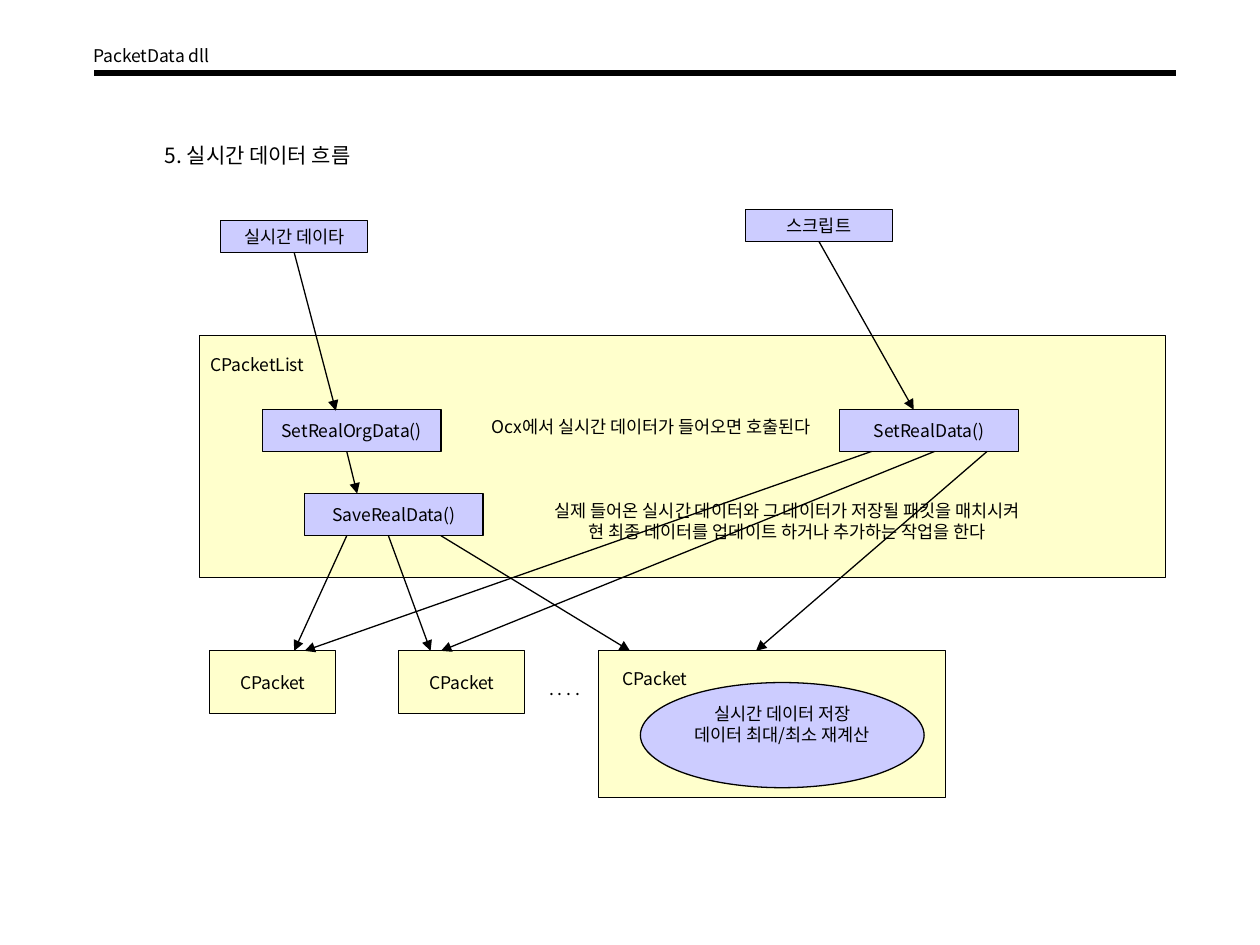
"""Build the slide that shows how real-time data flows through the packet classes."""
from dataclasses import dataclass
from typing import Any, Optional

import pptx
import pptx.dml.color
import pptx.enum.shapes
import pptx.enum.text
import pptx.oxml
import pptx.oxml.ns
import pptx.util
from lxml import etree

Cm = pptx.util.Cm
Pt = pptx.util.Pt
RGBColor = pptx.dml.color.RGBColor
Shape = pptx.enum.shapes.MSO_SHAPE
Align = pptx.enum.text.PP_ALIGN
Anchor = pptx.enum.text.MSO_ANCHOR
qn = pptx.oxml.ns.qn

BLACK = RGBColor(0x00, 0x00, 0x00)
CREAM = RGBColor(0xFF, 0xFF, 0xCC)
LILAC = RGBColor(0xCC, 0xCC, 0xFF)
FACE = "Noto Sans CJK KR"
ROW = 13.12
CALL = 8.26


@dataclass(frozen=True)
class Box:
    left: float
    top: float
    width: float
    height: float
    fill: RGBColor
    text: str = ""
    kind: Any = Shape.RECTANGLE
    foot: float = 0.13


@dataclass(frozen=True)
class Label:
    left: float
    top: float
    width: float
    text: str
    height: float = 0.69
    size: int = 10
    align: Any = Align.LEFT


@dataclass(frozen=True)
class Arrow:
    start: tuple[float, float]
    end: tuple[float, float]
    source: Optional[str] = None


def method(left: float, top: float, text: str) -> Box:
    """Describe a method box."""
    return Box(left, top, 3.6, 0.85, LILAC, text)


def input_box(left: float, top: float, text: str) -> Box:
    """Describe a box for a data source."""
    return Box(left, top, 2.96, 0.64, LILAC, text)


BOXES = [
    Box(4.02, 6.77, 19.47, 4.87, CREAM),
    input_box(4.45, 4.45, "실시간 데이타"),
    input_box(15.03, 4.23, "스크립트"),
    *(Box(4.23 + 3.81 * n, ROW, 2.54, 1.27, CREAM, "CPacket") for n in range(2)),
    Box(12.07, ROW, 6.99, 2.96, CREAM),
    Box(12.91, 13.76, 5.72, 2.12, LILAC,
        "실시간 데이터 저장\n데이터 최대/최소 재계산", Shape.OVAL, 0.56),
    method(5.29, CALL, "SetRealOrgData()"),
    method(6.14, 9.95, "SaveRealData()"),
    method(16.93, CALL, "SetRealData()"),
]
LABELS = [
    Label(1.63, 0.79, 2.9, "PacketData dll"),
    Label(3.07, 2.74, 4.37, "5. 실시간 데이터 흐름", 0.76, 12),
    Label(3.99, 7.01, 2.44, "CPacketList"),
    Label(10.82, 13.54, 1.24, ". . . ."),
    Label(12.29, 13.34, 1.85, "CPacket"),
    Label(9.58, CALL, 7.09, "Ocx에서 실시간 데이터가 들어오면 호출된다", align=Align.CENTER),
    Label(10.81, 9.95, 10.11,
          "실제 들어온 실시간 데이터와 그 데이터가 저장될 패킷을 매치시켜\n"
          "현 최종 데이터를 업데이트 하거나 추가하는 작업을 한다",
          1.12, align=Align.CENTER),
]
ARROWS = [
    Arrow((5.93, 5.09), (6.77, 8.28), "실시간 데이타"),
    Arrow((16.51, 4.87), (18.42, CALL), "스크립트"),
    Arrow((6.99, 9.1), (7.2, 9.95)),
    Arrow((6.99, 10.8), (5.93, ROW)),
    Arrow((7.83, 10.8), (8.68, ROW)),
    Arrow((8.89, 10.8), (12.7, ROW)),
    Arrow((17.57, 9.1), (6.14, ROW)),
    Arrow((18.84, 9.1), (8.89, ROW)),
    Arrow((19.9, 9.1), (15.24, ROW)),
]


def write(frame: Any, text: str, size: int, align: Any) -> None:
    """Fill a text frame with one paragraph for each line."""
    style = {"name": FACE, "size": Pt(size), "bold": False}
    frame.word_wrap = False
    frame.text = text
    for para in frame.paragraphs:
        para.alignment = align
        for run in para.runs:
            for key, value in style.items():
                setattr(run.font, key, value)
            run.font.color.rgb = BLACK
            latin = run.font._element.find(qn("a:latin"))
            east = etree.Element(qn("a:ea"), typeface=FACE)
            latin.addnext(east)


def add_box(slide: Any, box: Box) -> Any:
    """Draw a filled box with centred text."""
    shape = slide.shapes.add_shape(
        box.kind, Cm(box.left), Cm(box.top), Cm(box.width), Cm(box.height))
    shape.shadow.inherit = False
    shape.fill.solid()
    shape.fill.fore_color.rgb = box.fill
    shape.line.color.rgb = BLACK
    shape.line.width = Pt(0.75)
    if box.text:
        frame = shape.text_frame
        frame.vertical_anchor = Anchor.MIDDLE
        frame.margin_bottom = Cm(box.foot)
        write(frame, box.text, 10, Align.CENTER)
    return shape


def add_label(slide: Any, label: Label) -> None:
    """Draw free-standing text."""
    shape = slide.shapes.add_textbox(
        Cm(label.left), Cm(label.top), Cm(label.width), Cm(label.height))
    write(shape.text_frame, label.text, label.size, label.align)
    shape.text_frame.auto_size = pptx.enum.text.MSO_AUTO_SIZE.SHAPE_TO_FIT_TEXT


def add_line(slide: Any, start: tuple[float, float], end: tuple[float, float],
             width: float) -> Any:
    """Draw a plain black line."""
    line = slide.shapes.add_connector(
        pptx.enum.shapes.MSO_CONNECTOR.STRAIGHT, *map(Cm, start + end))
    line.line.color.rgb = BLACK
    line.line.width = Pt(width)
    etree.SubElement(line._element.spPr, qn("a:effectLst"))
    return line


def add_arrow(slide: Any, arrow: Arrow, shapes: dict[str, Any]) -> None:
    """Draw an arrow, joined to its source box where it has one."""
    line = add_line(slide, arrow.start, arrow.end, 0.75)
    etree.SubElement(line.line._get_or_add_ln(), qn("a:tailEnd"), type="triangle")
    if arrow.source:
        line.begin_connect(shapes[arrow.source], 2)


def main() -> None:
    """Build and save the slide."""
    deck = pptx.Presentation()
    deck.slide_width, deck.slide_height = Cm(25.4), Cm(19.05)
    slide = deck.slides.add_slide(deck.slide_layouts[6])
    add_line(slide, (1.9, 1.48), (23.7, 1.48), 3.5)
    shapes = {box.text: add_box(slide, box) for box in BOXES}
    for label in LABELS:
        add_label(slide, label)
    for arrow in ARROWS:
        add_arrow(slide, arrow, shapes)
    deck.save("out.pptx")


if __name__ == "__main__":
    main()
